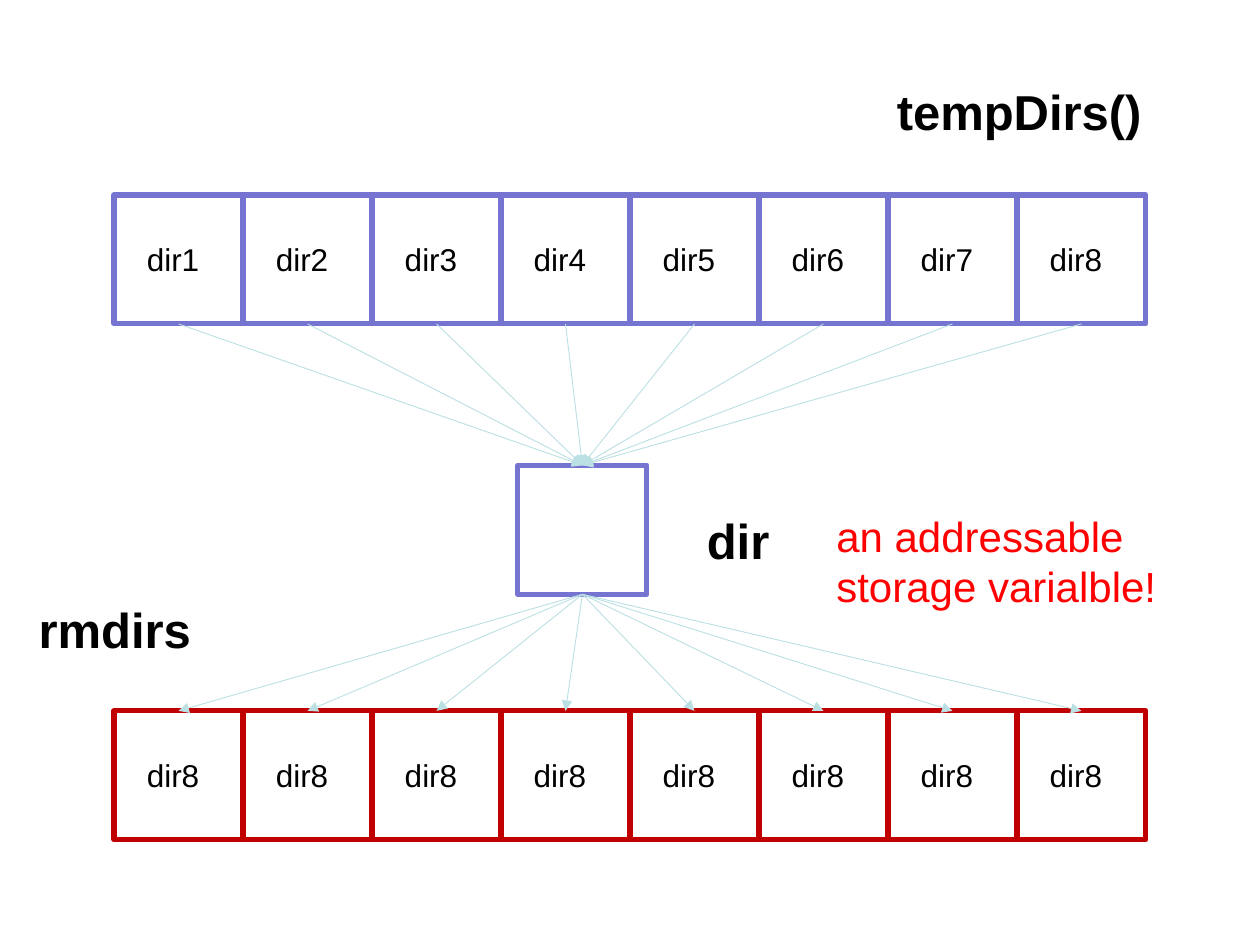
import pptx
import pptx.dml.color
import pptx.enum.shapes
import pptx.enum.text
import pptx.oxml.ns
import pptx.util
from lxml import etree

Cm = pptx.util.Cm
CELL = 2.6
ROW_LEFT = 2.3
COUNT = 8
BLUE, RED, PALE = "7575D1", "C00000", "BBE0E3"
CELL_LABEL = {"size": 18}
HEADING = {"size": 28, "bold": True}
REMARK = {"size": 24, "color": "FF0000"}


def rgb(value):
    return pptx.dml.color.RGBColor.from_string(value)


def add_box(slide, left, top, width, outline, weight=3):
    box = slide.shapes.add_shape(
        pptx.enum.shapes.MSO_SHAPE.RECTANGLE, Cm(left), Cm(top), Cm(width), Cm(CELL))
    box.shadow.inherit = False
    box.fill.solid()
    box.fill.fore_color.rgb = rgb("FFFFFF")
    box.line.color.rgb = rgb(outline)
    box.line.width = pptx.util.Pt(weight)
    return box


def add_text(slide, text, left, top, width, height, style):
    label = slide.shapes.add_textbox(Cm(left), Cm(top), Cm(width), Cm(height))
    frame = label.text_frame
    frame.word_wrap = True
    frame.auto_size = pptx.enum.text.MSO_AUTO_SIZE.SHAPE_TO_FIT_TEXT
    run = frame.paragraphs[0].add_run()
    run.text = text
    values = {"name": "Arial", "bold": False, **style}
    values["size"] = pptx.util.Pt(values["size"])
    run.font.color.rgb = rgb(values.pop("color", "000000"))
    for attribute, value in values.items():
        setattr(run.font, attribute, value)


def add_array(slide, top, names, outline, frame_color):
    add_box(slide, ROW_LEFT, top, CELL * COUNT, frame_color, 1)
    lefts = [ROW_LEFT + CELL * index for index in range(COUNT)]
    cells = [add_box(slide, left, top, CELL, outline) for left in lefts]
    for left, name in zip(lefts, names):
        add_text(slide, name, left + 0.41, top + 0.78, 1.8, 1.02, CELL_LABEL)
    return cells


def add_arrow(slide, source, target):
    arrow = slide.shapes.add_connector(
        pptx.enum.shapes.MSO_CONNECTOR.STRAIGHT, 0, 0, 0, 0)
    arrow.begin_connect(source, 2)
    arrow.end_connect(target, 0)
    arrow.line.color.rgb = rgb(PALE)
    arrow.line.width = pptx.util.Pt(0.5)
    qn = pptx.oxml.ns.qn
    properties = arrow._element.spPr
    etree.SubElement(properties.find(qn("a:ln")), qn("a:tailEnd"), type="triangle")
    etree.SubElement(properties, qn("a:effectLst"))


def main():
    deck = pptx.Presentation()
    deck.slide_width, deck.slide_height = Cm(25.4), Cm(19.05)
    slide = deck.slides.add_slide(deck.slide_layouts[6])

    temp_names = [f"dir{number}" for number in range(1, COUNT + 1)]
    temp_dirs = add_array(slide, 3.93, temp_names, BLUE, "000000")
    dir_variable = add_box(slide, 10.44, 9.38, CELL, BLUE)
    add_text(slide, "dir", 14, 10.16, 1.8, 1.44, HEADING)
    add_text(slide, "an addressable storage varialble!", 16.61, 10.16, 7.08, 2.29, REMARK)
    rm_dirs = add_array(slide, 14.33, ["dir8"] * COUNT, RED, RED)

    for cell in temp_dirs:
        add_arrow(slide, cell, dir_variable)
    for cell in rm_dirs:
        add_arrow(slide, dir_variable, cell)

    add_text(slide, "tempDirs()", 17.83, 1.52, 5.8, 1.44, HEADING)
    add_text(slide, "rmdirs", 0.53, 11.96, 5.8, 1.44, HEADING)
    deck.save("out.pptx")


if __name__ == "__main__":
    main()
